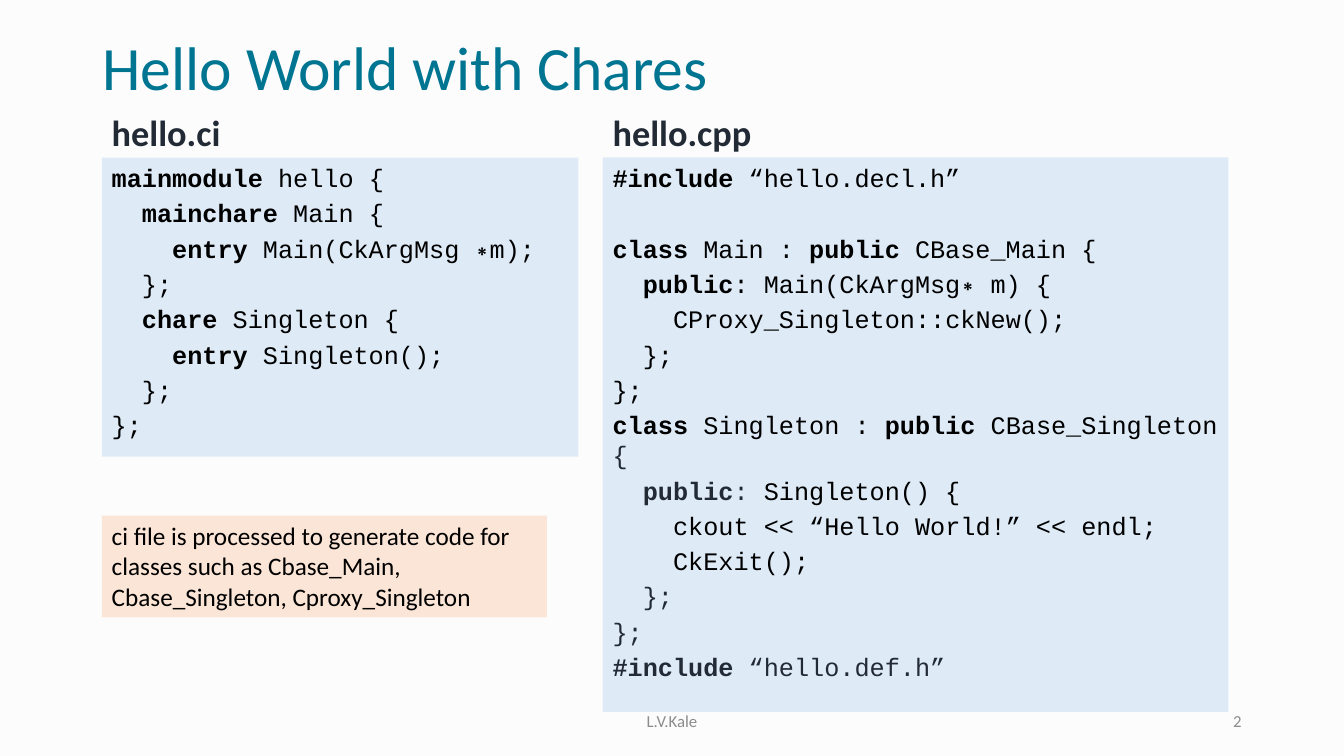
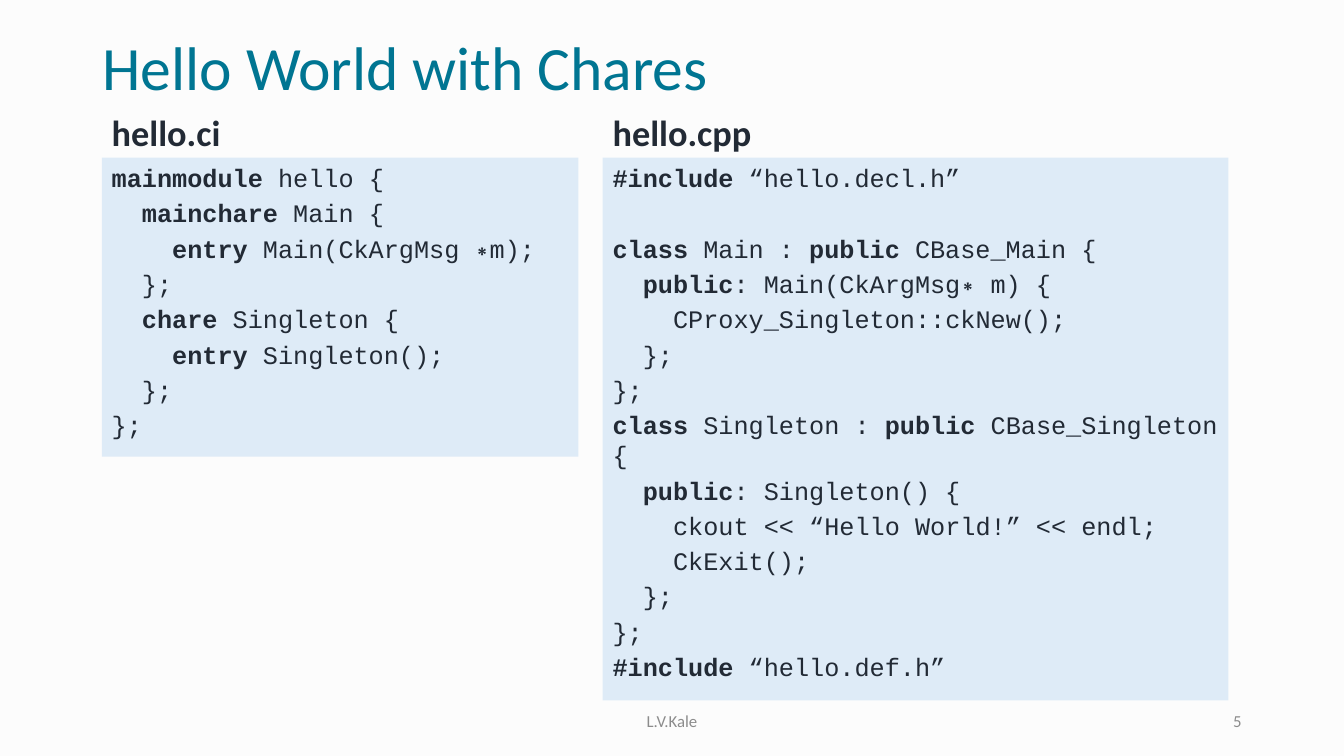
from pptx import Presentation
from pptx import util as u
from pptx.dml.color import RGBColor
from pptx.enum import shapes, text

PX = 9525  # 96 px to the inch
SLIDE_SIZE = 1280, 720
BACKGROUND, TEAL, DARK, BLACK, GRAY = "FCFCFC", "007592", "222A35", "000000", "8C8C8C"
CODE_FILL, NOTE_FILL = "DEEBF7", "FBE5D6"
SANS, MONO = "Calibri", "Courier New"

CODE_SIZE = 18
CODE_GAP = 0.2 * CODE_SIZE
CODE_LINE = 1.2 * CODE_SIZE
CHARACTER_WIDTH = 0.6 * CODE_SIZE

TITLE = "Hello World with Chares"
AUTHOR = "L.V.Kale"
TITLE_BOX = 88, 27, 1104, 81
AUTHOR_BOX = 424, 667, 432, 38
NUMBER_BOX = 904, 667, 288, 38
NOTE_BOX = 97, 491, 424, 97
HEADING_TOP, HEADING_WIDTH, HEADING_HEIGHT = 100, 424, 50
CODE_TOP = HEADING_TOP + HEADING_HEIGHT

# Backticks enclose bold text, tildes enclose text in the dark colour.
INTERFACE_CODE = """\
`mainmodule` hello {
  `mainchare` Main {
    `entry` Main(CkArgMsg ∗m);
  };
  `chare` Singleton {
    `entry` Singleton();
  };
};"""
SOURCE_CODE = """\
`#include` “hello.decl.h”

`class` Main : `public` CBase_Main {
  `public`: Main(CkArgMsg∗ m) {
    CProxy_Singleton::ckNew();
  };
};
`class` Singleton : `public `CBase_Singleton~ {~
  ~`public`: ~Singleton() {
    ckout << “Hello World!” << endl;
    CkExit();
  ~};~
~};~
~`#include` “hello.def.h”~"""
NOTE = ("ci file is processed to generate code for classes such as "
        "Cbase_Main, Cbase_Singleton, Cproxy_Singleton")

# heading, code, left, width
LISTINGS = [
    ("hello.ci", INTERFACE_CODE, 97, 454),
    ("hello.cpp", SOURCE_CODE, 574, 596),
]
SLIDES = [
    {"number": "2", "code_color": BLACK, "heights": (285, 528), "note": NOTE},
    {"number": "5", "code_color": DARK, "heights": (285, 517), "note": None},
]


def rgb(value):
    return RGBColor.from_string(value)


def scaled(box):
    return [length * PX for length in box]


def format_run(run, size, color, font=SANS, bold=False):
    run.font.size = u.Pt(size)
    run.font.color.rgb = rgb(color)
    run.font.name = font
    run.font.bold = bold


def fill_text(shape, words, size, color, bold=False,
              align=text.PP_ALIGN.LEFT, anchor=text.MSO_ANCHOR.TOP):
    """Put one formatted paragraph into a shape."""
    frame = shape.text_frame
    frame.text = words
    frame.word_wrap = True
    frame.auto_size = text.MSO_AUTO_SIZE.NONE
    frame.vertical_anchor = anchor
    paragraph = frame.paragraphs[0]
    paragraph.alignment = align
    format_run(paragraph.runs[0], size, color, bold=bold)
    return paragraph


def add_text(slide, box, *style, **options):
    fill_text(slide.shapes.add_textbox(*scaled(box)), *style, **options)


def add_panel(slide, box, fill):
    panel = slide.shapes.add_shape(shapes.MSO_SHAPE.RECTANGLE, *scaled(box))
    panel.shadow.inherit = False
    panel.fill.solid()
    panel.fill.fore_color.rgb = rgb(fill)
    panel.line.fill.background()
    return panel


def add_code_line(paragraph, line, color, gap):
    """Write one line of code, with its leading spaces as a left indent."""
    code = line.lstrip()
    indent = (len(line) - len(code)) * CHARACTER_WIDTH
    properties = paragraph._p.get_or_add_pPr()
    properties.set("marL", str(int(u.Pt(indent))))
    properties.set("indent", "0")
    paragraph.alignment = text.PP_ALIGN.LEFT
    paragraph.space_before = u.Pt(gap)
    for tone, part in enumerate(code.split("~")):
        for weight, piece in enumerate(part.split("`")):
            if piece:
                run = paragraph.add_run()
                run.text = piece
                format_run(run, CODE_SIZE, DARK if tone % 2 else color,
                           MONO, weight % 2 == 1)


def add_code(slide, box, code, color):
    frame = add_panel(slide, box, CODE_FILL).text_frame
    frame.word_wrap = True
    frame.vertical_anchor = text.MSO_ANCHOR.TOP
    paragraph, gap = frame.paragraphs[0], CODE_GAP
    for line in code.splitlines():
        if not line:
            gap += CODE_LINE + CODE_GAP
            continue
        if paragraph.runs:
            paragraph = frame.add_paragraph()
        add_code_line(paragraph, line, color, gap)
        gap = CODE_GAP


def add_frame(slide, number):
    """Add the title and footer that every slide has."""
    title = slide.shapes.title
    title.left, title.top, title.width, title.height = scaled(TITLE_BOX)
    paragraph = fill_text(title, TITLE, 44, TEAL, anchor=text.MSO_ANCHOR.MIDDLE)
    paragraph.line_spacing = 0.9
    for box, words, align in ((AUTHOR_BOX, AUTHOR, text.PP_ALIGN.CENTER),
                              (NUMBER_BOX, number, text.PP_ALIGN.RIGHT)):
        add_text(slide, box, words, 12, GRAY, align=align,
                 anchor=text.MSO_ANCHOR.MIDDLE)


def add_slide(presentation, content):
    slide = presentation.slides.add_slide(presentation.slide_layouts[5])
    add_frame(slide, content["number"])
    for (heading, code, left, width), height in zip(LISTINGS, content["heights"]):
        add_text(slide, (left, HEADING_TOP, HEADING_WIDTH, HEADING_HEIGHT),
                 heading, 25.9, DARK, bold=True)
        add_code(slide, (left, CODE_TOP, width, height), code,
                 content["code_color"])
    if content["note"]:
        fill_text(add_panel(slide, NOTE_BOX, NOTE_FILL), content["note"], 18, BLACK)


def main():
    presentation = Presentation()
    presentation.slide_width, presentation.slide_height = scaled(SLIDE_SIZE)
    background = presentation.slide_master.background.fill
    background.solid()
    background.fore_color.rgb = rgb(BACKGROUND)
    for content in SLIDES:
        add_slide(presentation, content)
    presentation.save("out.pptx")


if __name__ == "__main__":
    main()
